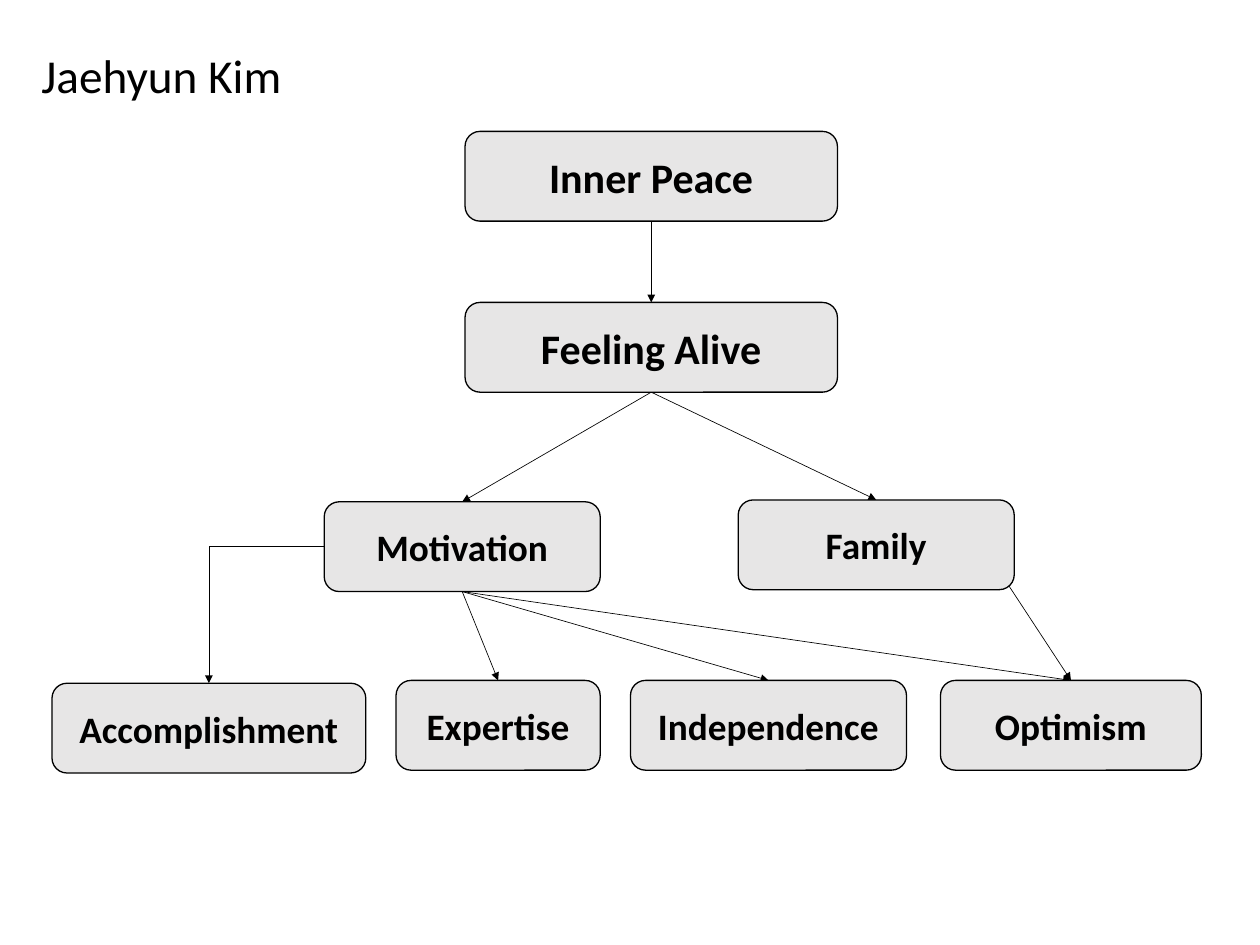
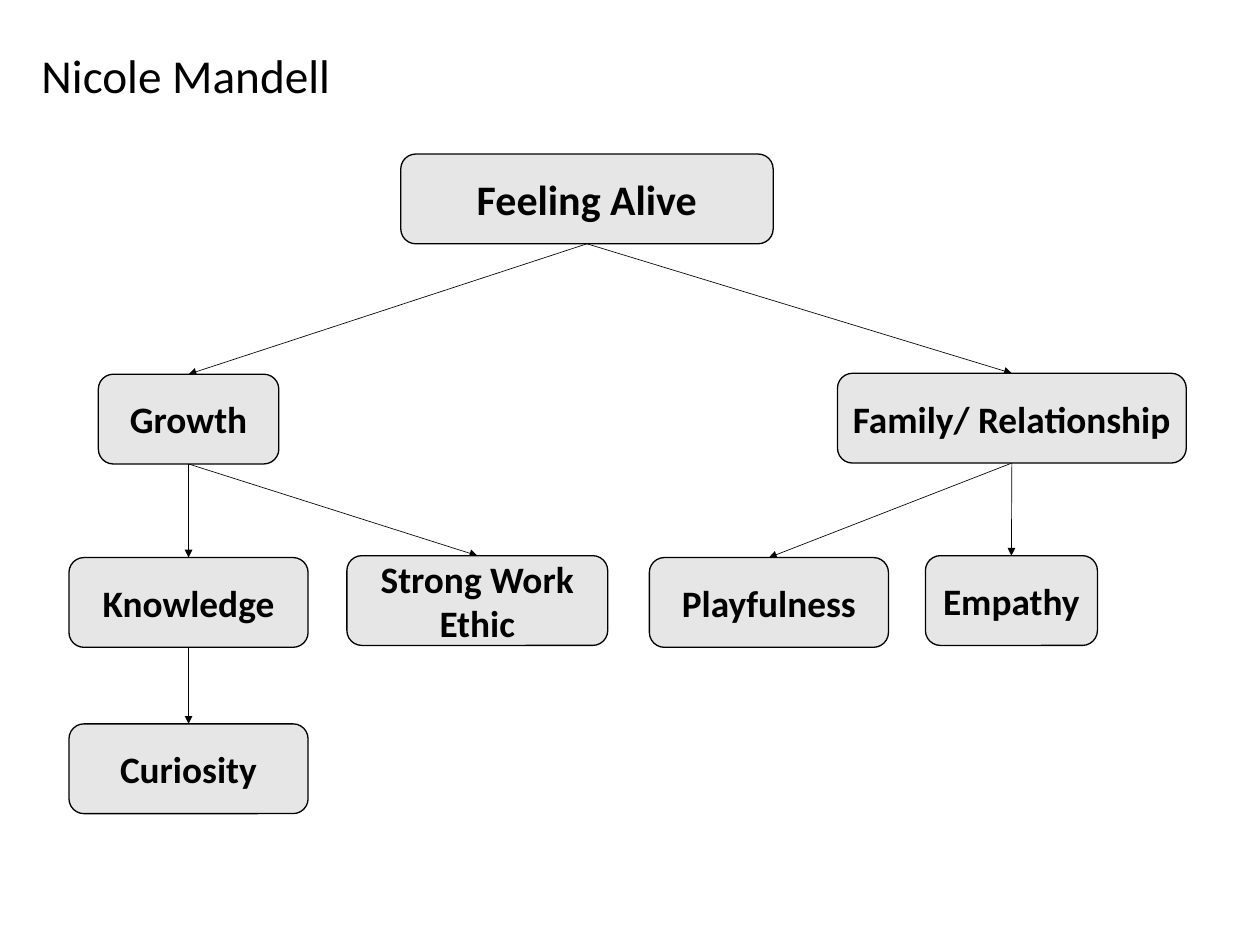
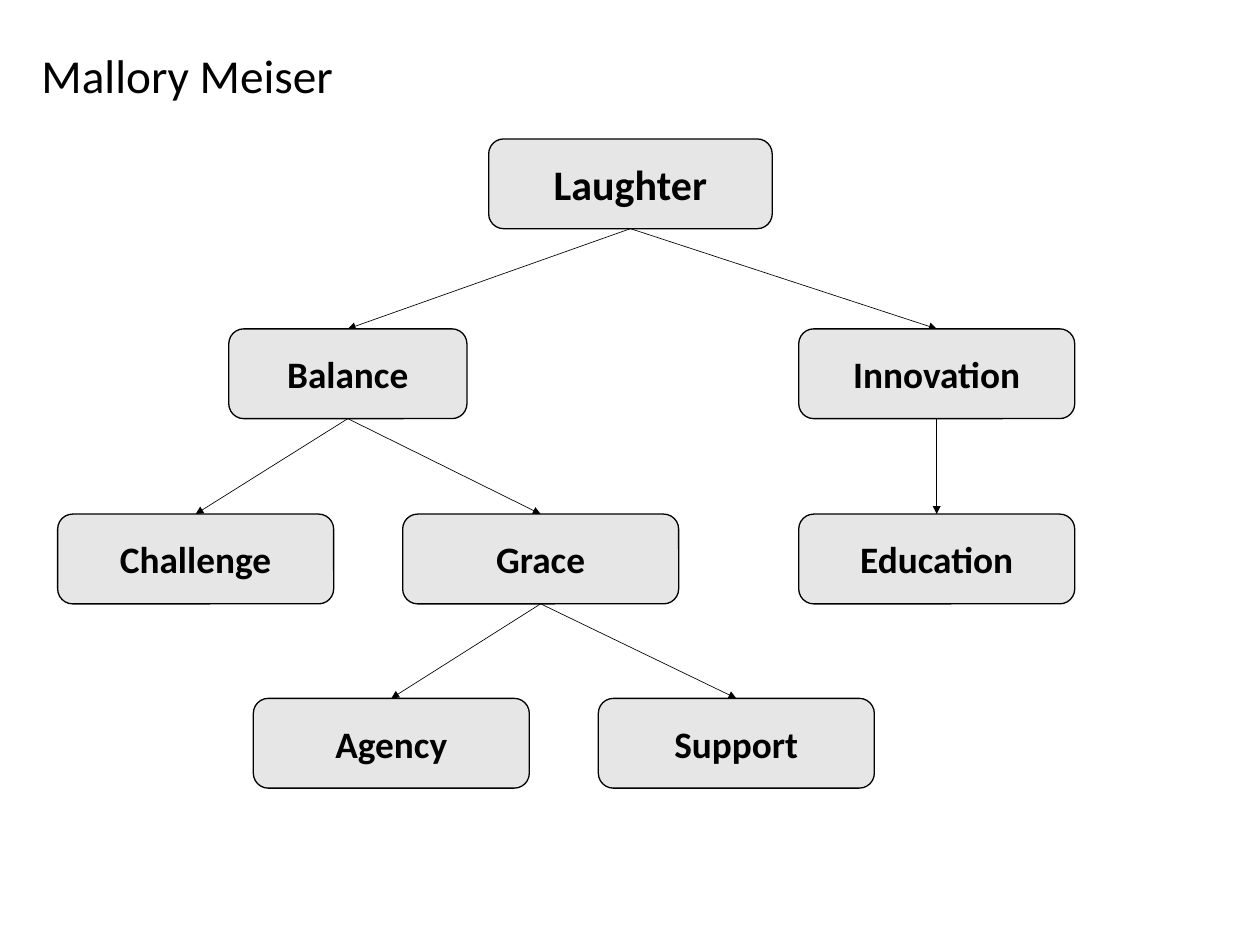
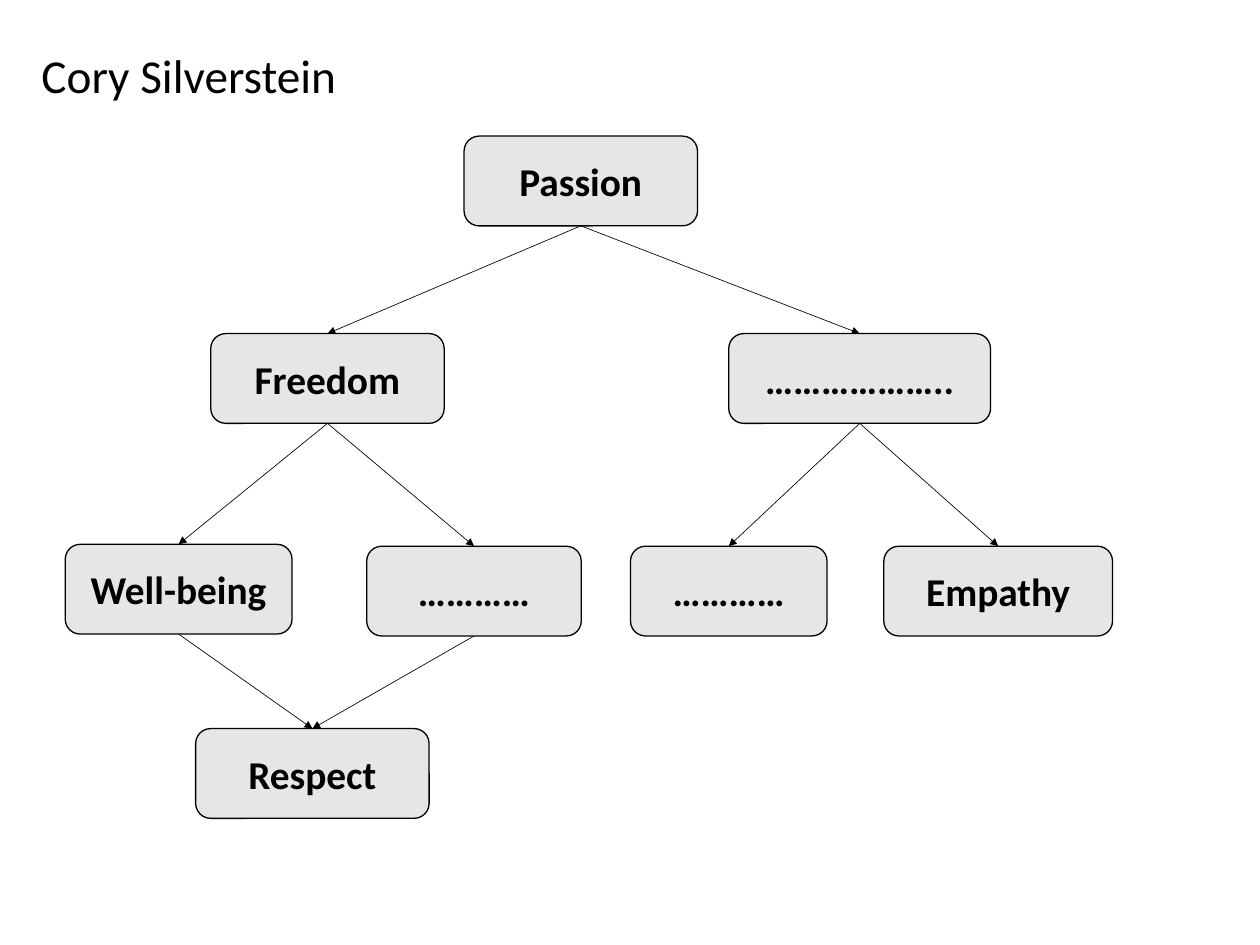
import lxml.etree
import pptx
import pptx.dml.color
import pptx.enum.shapes
import pptx.enum.text
import pptx.oxml.ns
import pptx.util
from dataclasses import dataclass


@dataclass(frozen=True)
class Theme:
    font: str = "Calibri"
    ink: str = "000000"
    fill: str = "E7E6E6"
    name: float = 36
    top: float = 32
    node: float = 28.4
    even: float = 30
    edge: float = 1
    wire: float = 0.5
    tall: float = 0.95


theme = Theme()
inch = pptx.util.Inches
color = pptx.dml.color.RGBColor.from_string
qn = pptx.oxml.ns.qn
kinds = pptx.enum.shapes.MSO_CONNECTOR
top, node, even = theme.top, theme.node, theme.even

# Each chart: person, boxes (text, left, top, width, size), arrows (from, to)
charts = [
    ("Jaehyun Kim", [
        ("Inner Peace", 4.92, 1.39, 3.94, top),
        ("Feeling Alive", 4.92, 3.2, 3.94, top),
        ("Motivation", 3.43, 5.31, 2.92, node),
        ("Family", 7.81, 5.29, 2.92, node),
        ("Accomplishment", 0.55, 7.23, 3.32, node),
        ("Expertise", 4.19, 7.2, 2.16, node),
        ("Independence", 6.67, 7.2, 2.92, node),
        ("Optimism", 9.95, 7.2, 2.76, node),
    ], [(0, 1), (1, 2), (1, 3), (2, 5), (2, 6), (2, 7)]),
    ("Nicole Mandell", [
        ("Feeling Alive", 4.24, 1.63, 3.94, top),
        ("Growth", 1.04, 3.96, 1.91, node),
        ("Family/ Relationship", 8.86, 3.95, 3.69, node),
        ("Knowledge", 0.73, 5.9, 2.53, node),
        ("Strong Work\nEthic", 3.67, 5.88, 2.76, node),
        ("Playfulness", 6.87, 5.9, 2.53, node),
        ("Empathy", 9.79, 5.88, 1.82, node),
        ("Curiosity", 0.73, 7.66, 2.53, node),
    ], [(0, 1), (0, 2), (1, 3), (1, 4), (2, 5), (2, 6), (3, 7)]),
    ("Mallory Meiser", [
        ("Laughter", 5.17, 1.47, 3, top),
        ("Balance", 2.42, 3.48, 2.52, node),
        ("Innovation", 8.45, 3.48, 2.92, node),
        ("Challenge", 0.61, 5.44, 2.92, node),
        ("Grace", 4.26, 5.44, 2.92, node),
        ("Education", 8.45, 5.44, 2.92, node),
        ("Agency", 2.68, 7.39, 2.92, node),
        ("Support", 6.33, 7.39, 2.92, node),
    ], [(0, 1), (0, 2), (1, 3), (1, 4), (2, 5), (4, 6), (4, 7)]),
    ("Cory Silverstein", [
        ("Passion", 4.91, 1.44, 2.47, even),
        ("Freedom", 2.23, 3.53, 2.47, even),
        ("………………..", 7.71, 3.53, 2.77, even),
        ("Well-being", 0.69, 5.76, 2.4, even),
        ("…………", 3.88, 5.78, 2.27, even),
        ("…………", 6.67, 5.78, 2.08, even),
        ("Empathy", 9.35, 5.78, 2.42, even),
        ("Respect", 2.07, 7.71, 2.47, even),
    ], [(0, 1), (0, 2), (1, 3), (1, 4), (2, 5), (2, 6), (3, 7), (4, 7)]),
]


def write(shape, text, size, bold, align):
    frame = shape.text_frame
    frame.text = text
    frame.word_wrap = True
    frame.vertical_anchor = pptx.enum.text.MSO_ANCHOR.MIDDLE
    for para in frame.paragraphs:
        para.alignment = align
        for run in para.runs:
            run.font.name = theme.font
            run.font.size = pptx.util.Pt(size)
            run.font.bold = bold
            run.font.color.rgb = color(theme.ink)


def arrow(slide, kind, goal, box=None, site=2, start=(0, 0)):
    """Point at the top of goal, from a site of box or from a free start."""
    line = slide.shapes.add_connector(
        kind, inch(start[0]), inch(start[1]), goal.left, goal.top)
    if box is not None:
        line.begin_connect(box, site)
    line.end_connect(goal, 0)
    line.line.color.rgb = color(theme.ink)
    line.line.width = pptx.util.Pt(theme.wire)
    props = line._element.spPr
    lxml.etree.SubElement(props.find(qn("a:ln")), qn("a:tailEnd"), type="triangle")
    lxml.etree.SubElement(props, qn("a:effectLst"))
    if kind == kinds.ELBOW:
        props.find(qn("a:prstGeom")).set("prst", "bentConnector2")
    # Keep arrows behind the boxes
    slide.shapes._spTree.insert(2, line._element)


deck = pptx.Presentation()
deck.slide_width, deck.slide_height = inch(13.33), inch(10)

for person, items, links in charts:
    slide = deck.slides.add_slide(deck.slide_layouts[6])

    # Name of the person
    title = slide.shapes.add_textbox(inch(0.34), inch(0.43), inch(10.48), inch(0.71))
    write(title, person, theme.name, False, pptx.enum.text.PP_ALIGN.LEFT)

    # Value boxes
    boxes = []
    for text, left, high, width, size in items:
        box = slide.shapes.add_shape(
            pptx.enum.shapes.MSO_SHAPE.ROUNDED_RECTANGLE,
            inch(left), inch(high), inch(width), inch(theme.tall))
        box.shadow.inherit = False
        box.fill.solid()
        box.fill.fore_color.rgb = color(theme.fill)
        box.line.color.rgb = color(theme.ink)
        box.line.width = pptx.util.Pt(theme.edge)
        write(box, text, size, True, pptx.enum.text.PP_ALIGN.CENTER)
        boxes.append(box)

    # Arrows from the bottom of one box to the top of the next
    for first, last in links:
        arrow(slide, kinds.STRAIGHT, boxes[last], boxes[first])

    # The first chart adds a bent arrow and one from the corner of Family
    if person == "Jaehyun Kim":
        arrow(slide, kinds.ELBOW, boxes[4], boxes[2], site=1)
        arrow(slide, kinds.STRAIGHT, boxes[7], start=(10.51, 5.95))

deck.save("out.pptx")
